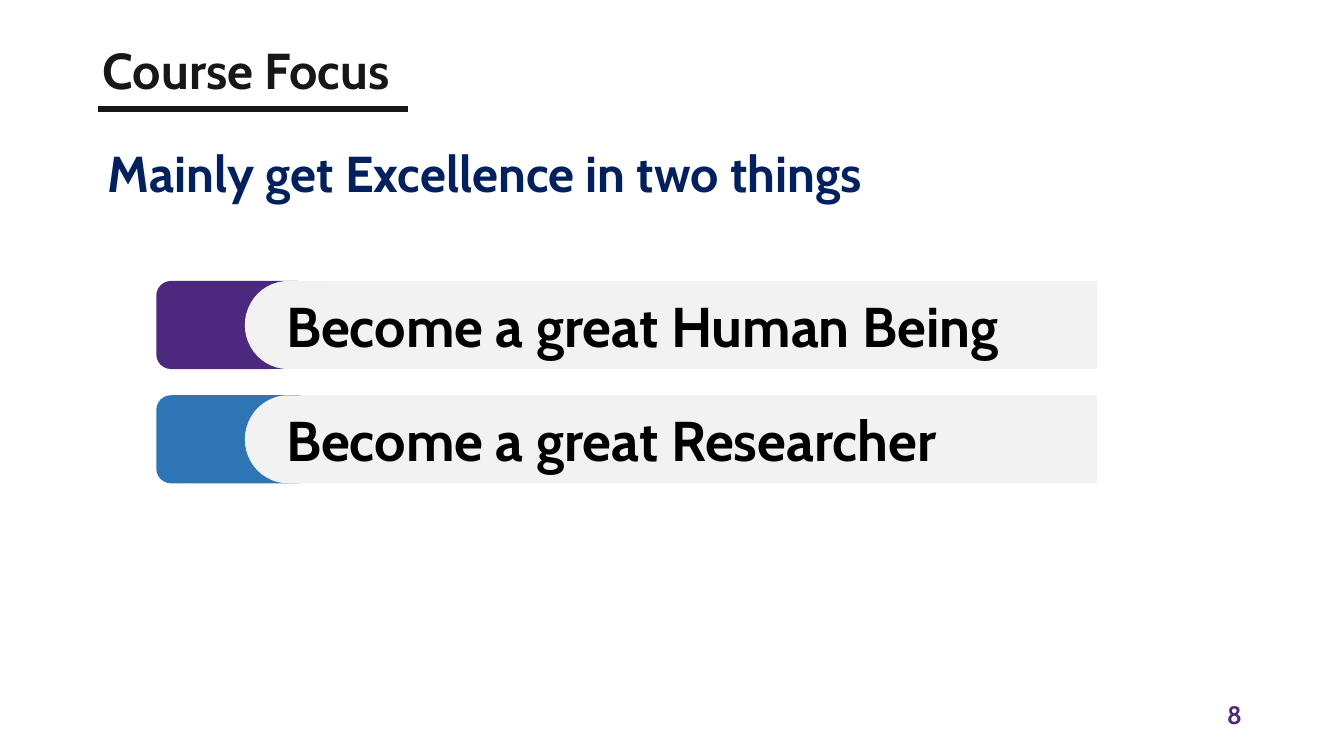
from dataclasses import dataclass

from lxml import etree
from pptx import Presentation
from pptx.dml import color
from pptx.enum import shapes, text
from pptx.oxml import ns
from pptx.util import Cm, Pt

TITLE = "Course Focus"
LEAD = "Mainly get Excellence in two things"
PAGE_NUMBER = "8"
GOALS = [
    ("Become a great Human Being", "4C287F"),
    ("Become a great Researcher", "2E75B6"),
]


@dataclass(frozen=True)
class Theme:
    font: str = "Cabin"
    title: str = "181717"
    lead: str = "002060"
    goal: str = "000000"
    number: str = "4C287F"
    bar: str = "F2F2F2"
    heading_size: int = 36
    goal_size: int = 40
    number_size: int = 18
    rule_width: float = 4.5


THEME = Theme()
BAR_TOP, BAR_HEIGHT, BAR_PITCH = 7.08, 2.22, 2.88
GOAL_HEIGHT = 1.7
# Kind, left, width; None takes the colour of the goal
BAR_PARTS = [
    (shapes.MSO_SHAPE.FLOWCHART_PROCESS, 4.55, 23.09, THEME.bar),
    (shapes.MSO_SHAPE.ROUNDED_RECTANGLE, 3.94, 3.94, None),
    (shapes.MSO_SHAPE.FLOWCHART_DELAY, 6.17, 2.18, THEME.bar),
]


def rgb(value):
    return color.RGBColor.from_string(value)


def write(box, words, size, ink, align, margins=(0.25, 0.13)):
    frame = box.text_frame
    frame.word_wrap = True
    frame.margin_left = frame.margin_right = Cm(margins[0])
    frame.margin_top = frame.margin_bottom = Cm(margins[1])
    para = frame.paragraphs[0]
    para.alignment = align
    span = para.add_run()
    span.text = words
    span.font.name = THEME.font
    span.font.size = Pt(size)
    span.font.bold = True
    span.font.color.rgb = rgb(ink)
    return frame


def add_text(parent, area, *style, **options):
    box = parent.shapes.add_textbox(*map(Cm, area))
    return write(box, *style, **options)


def add_title(page):
    title = page.shapes.title
    title.left, title.top, title.width, title.height = map(Cm, (2.34, 0, 29.21, 3.68))
    frame = write(title, TITLE, THEME.heading_size, THEME.title, text.PP_ALIGN.LEFT)
    frame.vertical_anchor = text.MSO_ANCHOR.MIDDLE
    frame.paragraphs[0].line_spacing = 0.9

    rule = page.shapes.add_connector(
        shapes.MSO_CONNECTOR.STRAIGHT, Cm(2.46), Cm(2.74), Cm(10.29), Cm(2.74))
    rule.line.color.rgb = rgb(THEME.title)
    rule.line.width = Pt(THEME.rule_width)
    etree.SubElement(rule._element.spPr, ns.qn("a:effectLst"))


def add_goal(page, top, words, accent):
    group = page.shapes.add_group_shape()
    for kind, left, width, fill in BAR_PARTS:
        part = group.shapes.add_shape(kind, Cm(left), Cm(top), Cm(width), Cm(BAR_HEIGHT))
        part.shadow.inherit = False
        part.fill.solid()
        part.fill.fore_color.rgb = rgb(fill or accent)
        part.line.fill.background()
        if kind == shapes.MSO_SHAPE.FLOWCHART_DELAY:
            part.rotation = 180
    text_top = top + (BAR_HEIGHT - GOAL_HEIGHT) / 2
    add_text(group, (7.21, text_top, 20.02, GOAL_HEIGHT), words,
             THEME.goal_size, THEME.goal, text.PP_ALIGN.JUSTIFY, margins=(0, 0))


def main():
    deck = Presentation()
    deck.slide_width, deck.slide_height = Cm(33.87), Cm(19.05)
    page = deck.slides.add_slide(deck.slide_layouts[5])
    add_title(page)
    add_text(page, (2.46, 3.45, 22.1, 1.8), LEAD,
             THEME.heading_size, THEME.lead, text.PP_ALIGN.JUSTIFY)
    for index, (words, accent) in enumerate(GOALS):
        add_goal(page, BAR_TOP + index * BAR_PITCH, words, accent)
    add_text(page, (23.93, 17.48, 7.62, 1.02), PAGE_NUMBER,
             THEME.number_size, THEME.number, text.PP_ALIGN.RIGHT)
    deck.save("out.pptx")


if __name__ == "__main__":
    main()
